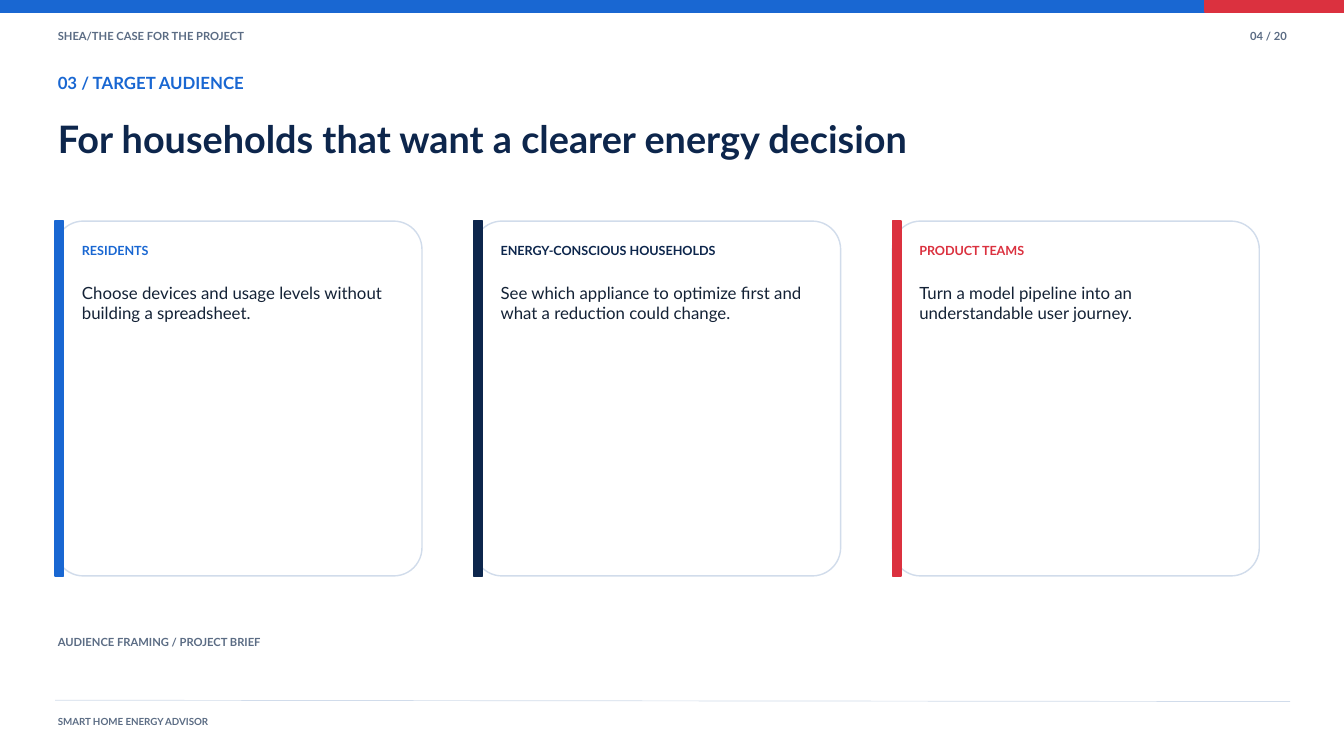
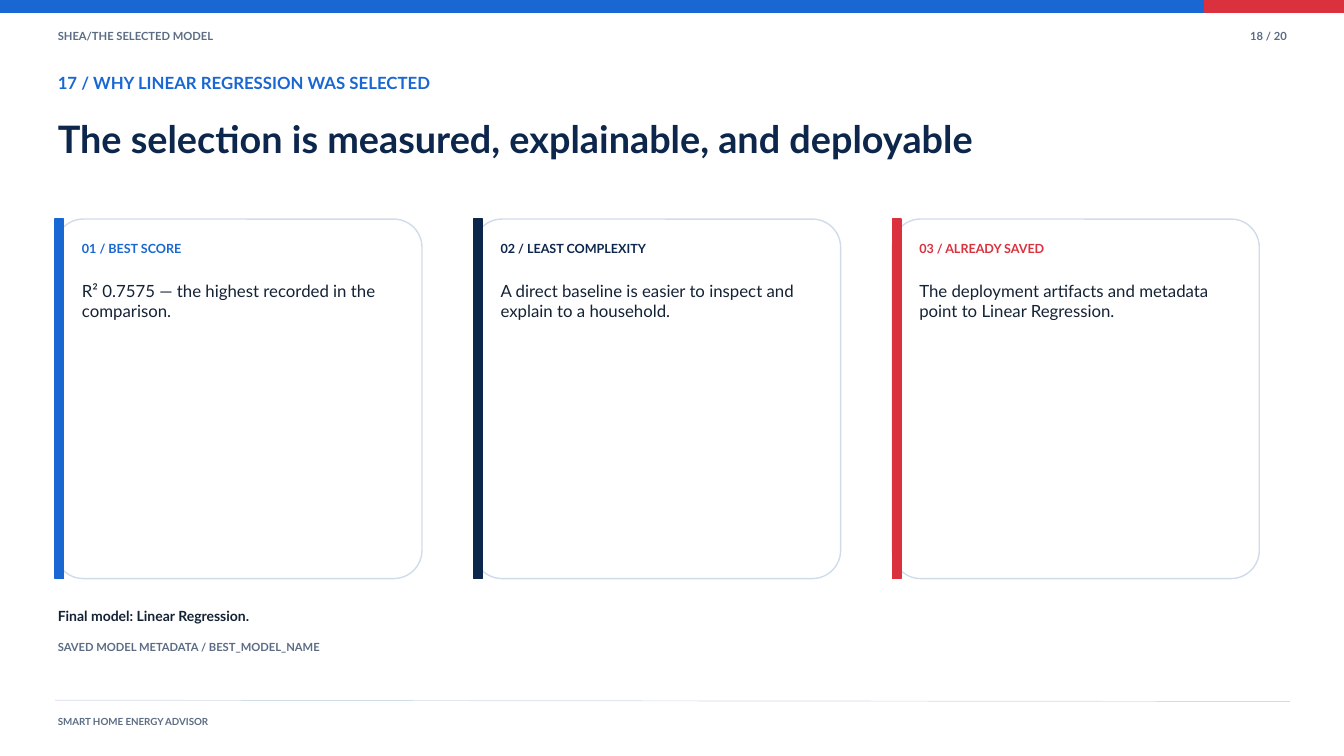
import pptx
import pptx.dml.color
import pptx.enum.shapes
import pptx.enum.text
import pptx.util
from lxml import etree

Inches = pptx.util.Inches
Pt = pptx.util.Pt
RGBColor = pptx.dml.color.RGBColor
SHAPE = pptx.enum.shapes.MSO_SHAPE
ALIGN = pptx.enum.text.PP_ALIGN

BLUE = RGBColor(0x19, 0x67, 0xD2)
RED = RGBColor(0xDB, 0x31, 0x3F)
NAVY = RGBColor(0x0D, 0x26, 0x4C)
INK = RGBColor(0x14, 0x22, 0x36)
SLATE = RGBColor(0x5B, 0x6C, 0x84)
MIST = RGBColor(0xD1, 0xDC, 0xEB)
WHITE = RGBColor(0xFF, 0xFF, 0xFF)

FONT = "Lato"
LEADING = 1.2
EDGE = 0.82
MARGIN = 0.86
CARD_W = 5.46
CARD_STEP = 6.23
RADIUS = 0.42
ACCENTS = (BLUE, NAVY, RED)

STYLES = {
    "label": {"size": Pt(12), "bold": True, "color": SLATE},
    "kicker": {"size": Pt(18), "bold": True, "color": BLUE},
    "title": {"size": Pt(40.5), "bold": True, "color": NAVY},
    "footer": {"size": Pt(10.5), "bold": True, "color": SLATE},
    "head": {"size": Pt(13.5), "bold": True, "color": NAVY},
    "body": {"size": Pt(18), "bold": False, "color": INK},
    "note": {"size": Pt(15), "bold": True, "color": INK},
}

SLIDES = (
    {
        "topic": "SHEA/THE CASE FOR THE PROJECT",
        "page": "04 / 20",
        "kicker": "03 / TARGET AUDIENCE",
        "title": "For households that want a clearer energy decision",
        "top": 3.29,
        "height": 5.28,
        "cards": (
            ("RESIDENTS",
             "Choose devices and usage levels without building a spreadsheet."),
            ("ENERGY-CONSCIOUS HOUSEHOLDS",
             "See which appliance to optimize first and what a reduction could change."),
            ("PRODUCT TEAMS",
             "Turn a model pipeline into an understandable user journey."),
        ),
        "notes": (
            ("AUDIENCE FRAMING / PROJECT BRIEF", "label", (9.46, 11.95, 0.24)),
        ),
    },
    {
        "topic": "SHEA/THE SELECTED MODEL",
        "page": "18 / 20",
        "kicker": "17 / WHY LINEAR REGRESSION WAS SELECTED",
        "title": "The selection is measured, explainable, and deployable",
        "top": 3.26,
        "height": 5.35,
        "cards": (
            ("01 / BEST SCORE",
             "R² 0.7575 — the highest recorded in the comparison."),
            ("02 / LEAST COMPLEXITY",
             "A direct baseline is easier to inspect and explain to a household."),
            ("03 / ALREADY SAVED",
             "The deployment artifacts and metadata point to Linear Regression."),
        ),
        "notes": (
            ("Final model: Linear Regression.", "note", (9.04, 8.95, 0.3)),
            ("SAVED MODEL METADATA / BEST_MODEL_NAME", "label", (9.53, 13.45, 0.24)),
        ),
    },
)


def add_text(slide, text, style, left, top, width, height, color=None, align=ALIGN.LEFT):
    look = STYLES[style]
    box = slide.shapes.add_textbox(*map(Inches, (left, top, width, height)))
    frame = box.text_frame
    setup = {
        "margin_left": 0, "margin_top": 0, "margin_right": 0, "margin_bottom": 0,
        "word_wrap": True,
        "auto_size": pptx.enum.text.MSO_AUTO_SIZE.SHAPE_TO_FIT_TEXT,
    }
    for name, value in setup.items():
        setattr(frame, name, value)
    para = frame.paragraphs[0]
    para.alignment = align
    para.line_spacing = Pt(look["size"].pt * LEADING)
    run = para.add_run()
    run.text = text
    for name, value in {"name": FONT, "size": look["size"], "bold": look["bold"]}.items():
        setattr(run.font, name, value)
    run.font.color.rgb = color or look["color"]


def add_block(slide, kind, left, top, width, height, fill, line):
    block = slide.shapes.add_shape(kind, *map(Inches, (left, top, width, height)))
    block.shadow.inherit = False
    block.fill.solid()
    block.fill.fore_color.rgb = fill
    block.line.color.rgb = line
    block.line.width = Pt(1.5)
    return block


def add_rule(slide):
    """Draw the thin line above the footer."""
    ends = map(Inches, (EDGE, 10.42, 19.2, 10.44))
    rule = slide.shapes.add_connector(pptx.enum.shapes.MSO_CONNECTOR.STRAIGHT, *ends)
    rule.line.color.rgb = MIST
    rule.line.width = Pt(0.75)
    etree.SubElement(rule._element.spPr, pptx.oxml.ns.qn("a:effectLst"))


def add_frame(slide, data):
    """Add the bands, headings and footer that every slide has."""
    add_block(slide, SHAPE.RECTANGLE, -0.01, -0.01, 20.04, 0.19, BLUE, BLUE)
    add_block(slide, SHAPE.RECTANGLE, 17.93, -0.01, 2.1, 0.19, RED, RED)
    add_text(slide, data["topic"], "label", MARGIN, 0.44, 11.95, 0.3)
    add_text(slide, data["page"], "label", 17.71, 0.44, 1.44, 0.3, align=ALIGN.RIGHT)
    add_text(slide, data["kicker"], "kicker", MARGIN, 1.08, 18.03, 0.47)
    add_text(slide, data["title"], "title", MARGIN, 1.72, 18.03, 1.16)
    add_rule(slide)
    add_text(slide, "SMART HOME ENERGY ADVISOR", "footer", MARGIN, 10.65, 5.94, 0.22)


def add_card(slide, left, top, height, accent, head, body):
    card = add_block(slide, SHAPE.ROUNDED_RECTANGLE, left, top, CARD_W, height, WHITE, MIST)
    card.adjustments[0] = RADIUS / min(CARD_W, height)
    add_block(slide, SHAPE.RECTANGLE, left, top, 0.13, height, accent, accent)
    add_text(slide, head, "head", left + 0.4, top + 0.33, 4.74, 0.28, accent)
    add_text(slide, body, "body", left + 0.4, top + 0.91, 4.74, height - 1.22)


def main():
    deck = pptx.Presentation()
    deck.slide_width = Inches(20)
    deck.slide_height = Inches(11.25)
    for data in SLIDES:
        slide = deck.slides.add_slide(deck.slide_layouts[6])
        add_frame(slide, data)
        for i, (accent, card) in enumerate(zip(ACCENTS, data["cards"])):
            left = EDGE + i * CARD_STEP
            add_card(slide, left, data["top"], data["height"], accent, *card)
        for text, style, place in data["notes"]:
            add_text(slide, text, style, MARGIN, *place)
    deck.save("out.pptx")


if __name__ == "__main__":
    main()
